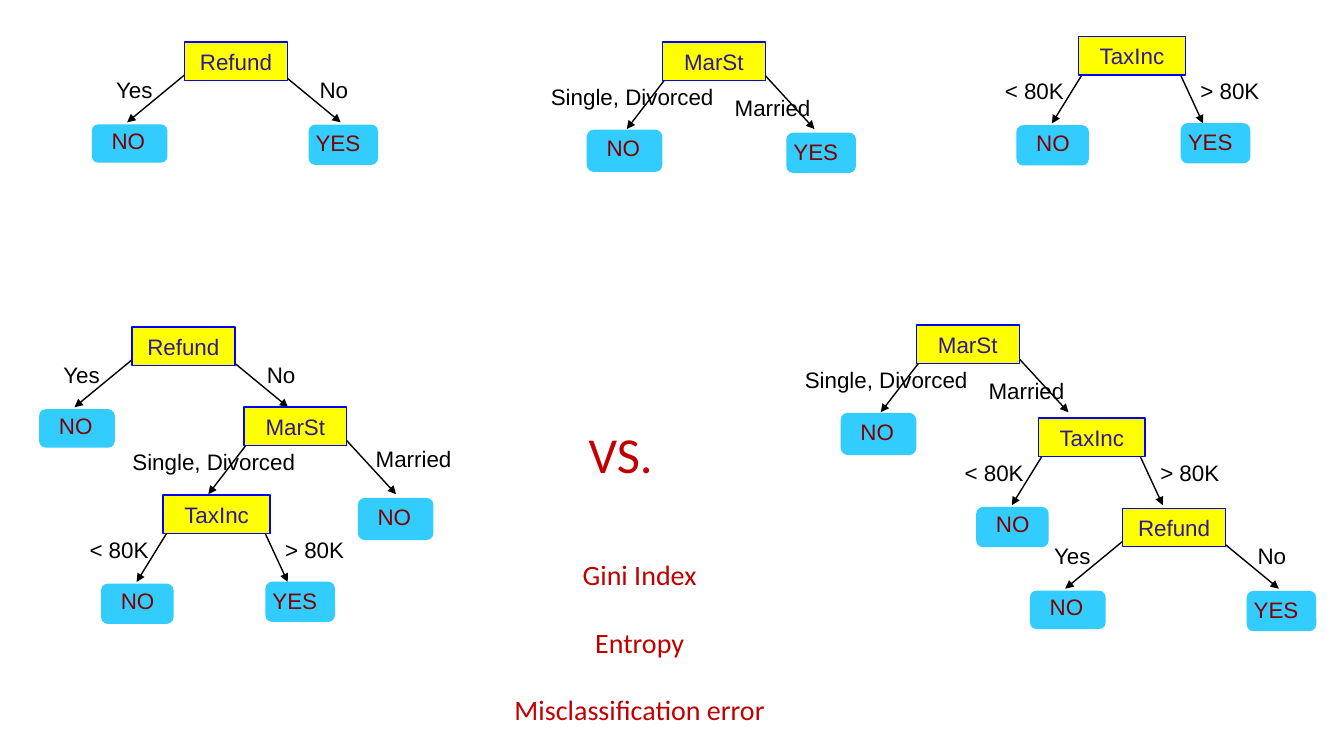
from dataclasses import dataclass, replace

from lxml import etree
from pptx import Presentation
from pptx.dml.color import RGBColor
from pptx.enum.shapes import MSO_CONNECTOR, MSO_SHAPE
from pptx.enum.text import MSO_ANCHOR, MSO_AUTO_SIZE, PP_ALIGN
from pptx.oxml.ns import qn
from pptx.util import Pt

RECT, ROUNDED = MSO_SHAPE.RECTANGLE, MSO_SHAPE.ROUNDED_RECTANGLE
STRAIGHT = MSO_CONNECTOR.STRAIGHT
LEFT, CENTER, RIGHT = PP_ALIGN.LEFT, PP_ALIGN.CENTER, PP_ALIGN.RIGHT
MIDDLE = MSO_ANCHOR.MIDDLE
FIT = MSO_AUTO_SIZE.SHAPE_TO_FIT_TEXT

BLACK = RGBColor(0x00, 0x00, 0x00)
YELLOW = RGBColor(0xFF, 0xFF, 0x00)
BLUE = RGBColor(0x00, 0x00, 0xFF)
INDIGO = RGBColor(0x2D, 0x19, 0x93)
SKY = RGBColor(0x33, 0xCC, 0xFF)
MAROON = RGBColor(0x80, 0x00, 0x00)
RED = RGBColor(0xC0, 0x00, 0x00)

TEST_H = 27.5
LINE_H = 26.6
CLASS_TEXT = {"NO": (7, 38.2), "YES": (-6, 54)}  # offset in the leaf, width


@dataclass
class Branch:
    """One side of a split; positions are relative to the test box."""
    label: str
    label_box: tuple  # left, top, width
    start: tuple
    end: tuple
    leaf: str
    leaf_box: tuple  # left, top, width, height
    leaf_text_dy: float = 0


@dataclass
class Split:
    test: str
    width: float
    left: Branch
    right: Branch


REFUND = Split(
    "Refund", 73.6,
    Branch("Yes", (-57.6, 20.7, 41.8), (3.6, 20.6), (-41, 57.4),
           "NO", (-66.2, 58.8, 54, 27.4), -1.4),
    Branch("No", (89.3, 20.7, 34.6), (67, 20.6), (111.6, 57.4),
           "YES", (88.6, 59, 49.7, 28.8)))
MARITAL = Split(
    "MarSt", 73.6,
    Branch("Single, Divorced", (-87.3, 25.9, 131), (6.5, 20.8), (-25.4, 62.2),
           "NO", (-54, 62.6, 54, 30.2)),
    Branch("Married ", (43.9, 33.8, 73.4), (70.6, 20.8), (108.7, 62.2),
           "YES", (88.6, 64.8, 49.7, 28.8)))
MARITAL_INNER = replace(MARITAL, right=replace(
    MARITAL.right, label_box=(86.4, 23.8, 73.4),
    leaf="NO", leaf_box=(81.4, 64.8, 54, 30.2)))
INCOME = Split(
    "TaxInc", 76.3,
    Branch("< 80K", (-60.3, 25.9, 56.9), (6.5, 20.9), (-19, 62.2),
           "NO", (-44.4, 63.4, 51.8, 28.8), -1),
    Branch("> 80K", (79.4, 25.9, 56.9), (69.8, 20.9), (88.9, 62.2),
           "YES", (73, 62, 49.7, 28.8)))


def write(tf, text, size=16, font="Arial", color=BLACK, align=LEFT, gap=0, wrap=False):
    tf.word_wrap = wrap
    for i, line in enumerate(text.split("\n")):
        p = tf.add_paragraph() if i else tf.paragraphs[0]
        p.alignment = align
        if i and gap:
            p.space_before = Pt(gap)
        r = p.add_run()
        r.text = line
        r.font.size, r.font.name = Pt(size), font
        r.font.color.rgb = color


def add_text(s, text, x, y, w, h=LINE_H, **fmt):
    tf = s.shapes.add_textbox(Pt(x), Pt(y), Pt(w), Pt(h)).text_frame
    tf.auto_size = FIT
    write(tf, text, **fmt)


def add_box(s, kind, x, y, w, h, fill):
    sp = s.shapes.add_shape(kind, Pt(x), Pt(y), Pt(w), Pt(h))
    sp.shadow.inherit = False
    sp.fill.solid()
    sp.fill.fore_color.rgb = fill
    return sp


def add_arrow(s, x1, y1, x2, y2):
    c = s.shapes.add_connector(STRAIGHT, Pt(x1), Pt(y1), Pt(x2), Pt(y2))
    c.line.color.rgb = BLACK
    c.line.width = Pt(1)
    etree.SubElement(c.line._get_or_add_ln(), qn("a:tailEnd"), type="triangle")
    etree.SubElement(c._element.spPr, qn("a:effectLst"))


def add_test(s, text, x, y, w):
    sp = add_box(s, RECT, x, y, w, TEST_H, YELLOW)
    sp.line.color.rgb = BLUE
    sp.line.width = Pt(1)
    sp.text_frame.vertical_anchor = MIDDLE
    write(sp.text_frame, text, color=INDIGO, align=CENTER)


def add_leaf(s, branch, x, y):
    dx, dy, w, h = branch.leaf_box
    sp = add_box(s, ROUNDED, x + dx, y + dy, w, h, SKY)
    sp.line.fill.background()
    text_dx, text_w = CLASS_TEXT[branch.leaf]
    add_text(s, branch.leaf, x + dx + text_dx, y + dy + branch.leaf_text_dy, text_w,
             color=MAROON, align=CENTER)


def add_split(s, split, x, y, left_leaf=True, right_leaf=True):
    """Draw a test with its two branches; a branch without a leaf leads to another test."""
    branches = (split.left, split.right)
    for b in branches:
        add_arrow(s, x + b.start[0], y + b.start[1], x + b.end[0], y + b.end[1])
    add_test(s, split.test, x, y, split.width)
    for b, has_leaf in zip(branches, (left_leaf, right_leaf)):
        if has_leaf:
            add_leaf(s, b, x, y)
        dx, dy, w = b.label_box
        add_text(s, b.label, x + dx, y + dy, w, align=RIGHT)


def add_single_splits(s, x, y):
    add_split(s, REFUND, x, y)
    add_split(s, MARITAL, x + 341.3, y)
    add_split(s, INCOME, x + 638.6, y - 4)


def add_refund_tree(s, x, y):
    add_split(s, REFUND, x, y, right_leaf=False)
    add_split(s, MARITAL_INNER, x + 80, y + 57.3, left_leaf=False)
    add_split(s, INCOME, x + 22.4, y + 120)


def add_marital_tree(s, x, y):
    add_split(s, MARITAL, x, y, right_leaf=False)
    add_split(s, INCOME, x + 87.2, y + 66.4, right_leaf=False)
    add_split(s, REFUND, x + 147.4, y + 130.8)


def add_comparison(s, x, y):
    fmt = {"font": "Calibri", "color": RED}
    add_text(s, "VS.", x + 54.7, y, 66.2, 51, size=36, **fmt)
    add_text(s, "Gini Index\nEntropy\nMisclassification error", x, y + 95.8, 196.6, 128.2,
             size=20, align=CENTER, gap=24.4, wrap=True, **fmt)


def main():
    prs = Presentation()
    prs.slide_width, prs.slide_height = Pt(960), Pt(540)
    s = prs.slides.add_slide(prs.slide_layouts[6])
    add_single_splits(s, 131.8, 30)
    add_refund_tree(s, 94.2, 233.5)
    add_marital_tree(s, 654.5, 232.3)
    add_comparison(s, 358.6, 298.8)
    prs.save("out.pptx")


if __name__ == "__main__":
    main()
